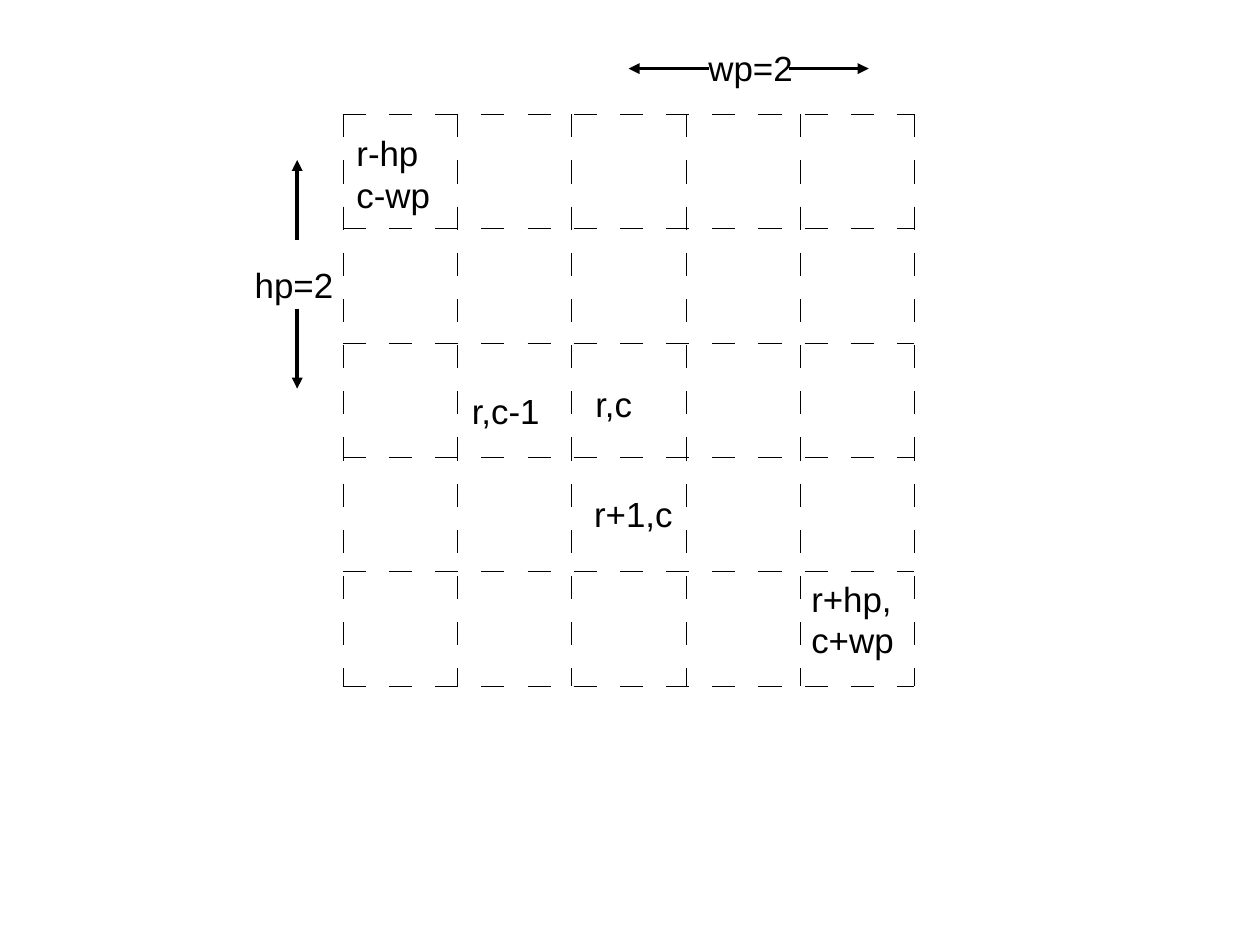
from dataclasses import dataclass

from lxml import etree
from pptx import Presentation
from pptx.dml.color import RGBColor
from pptx.enum.shapes import MSO_CONNECTOR
from pptx.enum.text import MSO_ANCHOR, MSO_AUTO_SIZE, PP_ALIGN
from pptx.oxml.ns import qn
from pptx.util import Cm, Inches, Pt

STRAIGHT = MSO_CONNECTOR.STRAIGHT
TOP = MSO_ANCHOR.TOP
LEFT = PP_ALIGN.LEFT
GROW = MSO_AUTO_SIZE.SHAPE_TO_FIT_TEXT


@dataclass(frozen=True)
class Theme:
    ink: RGBColor = RGBColor(0, 0, 0)
    font: str = "Arial"
    size: float = 22
    hair: float = 0.25
    bold: float = 2.3
    dash: str = "5700000"


@dataclass(frozen=True)
class Grid:
    """A square grid: left and top corner, cell side and cell count."""
    left: float
    top: float
    cell: float
    count: int

    def spot(self, col, row):
        return (Inches(self.left + col * self.cell),
                Inches(self.top + row * self.cell))


THEME = Theme()
GRID = Grid(left=3, top=1, cell=1, count=5)

# text, column, row, width, height, wrap
LABELS = [
    ("r,c", 2.11, 2.3, 0.59, 0.44, False),
    ("r,c-1", 1.03, 2.36, 0.86, 0.44, False),
    ("r-hp\nc-wp", 0.02, 0.1, 0.98, 1.12, True),
    ("r+1,c", 2.1, 3.26, 0.94, 0.44, False),
    ("r+hp,\nc+wp", 4, 4, 1, 1.12, True),
]


def add_text(slide, grid, text, col, row, width, height, wrap=False,
             size=THEME.size, color=THEME.ink):
    box = slide.shapes.add_textbox(*grid.spot(col, row),
                                   Inches(width * grid.cell),
                                   Inches(height * grid.cell))
    frame = box.text_frame
    frame.word_wrap = wrap
    frame.auto_size = GROW
    frame.vertical_anchor = TOP
    frame.text = text
    for para in frame.paragraphs:
        para.alignment = LEFT
        para.font.name = THEME.font
        para.font.size = Pt(size)
        para.font.color.rgb = color


def add_line(slide, grid, start, end, width):
    """Draw a line between two grid spots and return its a:ln element."""
    line = slide.shapes.add_connector(STRAIGHT, *grid.spot(*start),
                                      *grid.spot(*end))
    line.line.color.rgb = THEME.ink
    line.line.width = Pt(width)
    ln = line.line._get_or_add_ln()
    etree.SubElement(ln.getparent(), qn("a:effectLst"))
    return ln


def add_dashed(slide, grid, start, end):
    ln = add_line(slide, grid, start, end, THEME.hair)
    dashes = etree.SubElement(ln, qn("a:custDash"))
    etree.SubElement(dashes, qn("a:ds"), d=THEME.dash, sp=THEME.dash)


def add_arrow(slide, grid, start, end):
    ln = add_line(slide, grid, start, end, THEME.bold)
    etree.SubElement(ln, qn("a:tailEnd"), type="triangle")


def draw_cells(slide, grid):
    for col in range(grid.count + 1):
        add_dashed(slide, grid, (col, 0), (col, grid.count))
    for row in range(grid.count + 1):
        add_dashed(slide, grid, (0, row), (grid.count, row))
    for label in LABELS:
        add_text(slide, grid, *label)


def draw_width(slide, grid):
    """Mark the patch width above the grid."""
    row = -0.4
    add_arrow(slide, grid, (3.9, row), (4.6, row))
    add_arrow(slide, grid, (3.2, row), (2.5, row))
    add_text(slide, grid, "wp=2", 3.1, row - 0.24, 0.94, 0.44)


def draw_height(slide, grid):
    """Mark the patch height left of the grid."""
    col = -0.4
    add_arrow(slide, grid, (col, 1.1), (col, 0.4))
    add_arrow(slide, grid, (col, 1.7), (col, 2.4))
    add_text(slide, grid, "hp=2", col - 0.47, 1.26, 0.89, 0.44)


def main():
    deck = Presentation()
    deck.slide_width = Cm(28)
    deck.slide_height = Cm(21)
    slide = deck.slides.add_slide(deck.slide_layouts[6])
    draw_cells(slide, GRID)
    draw_width(slide, GRID)
    draw_height(slide, GRID)
    deck.save("out.pptx")


if __name__ == "__main__":
    main()
